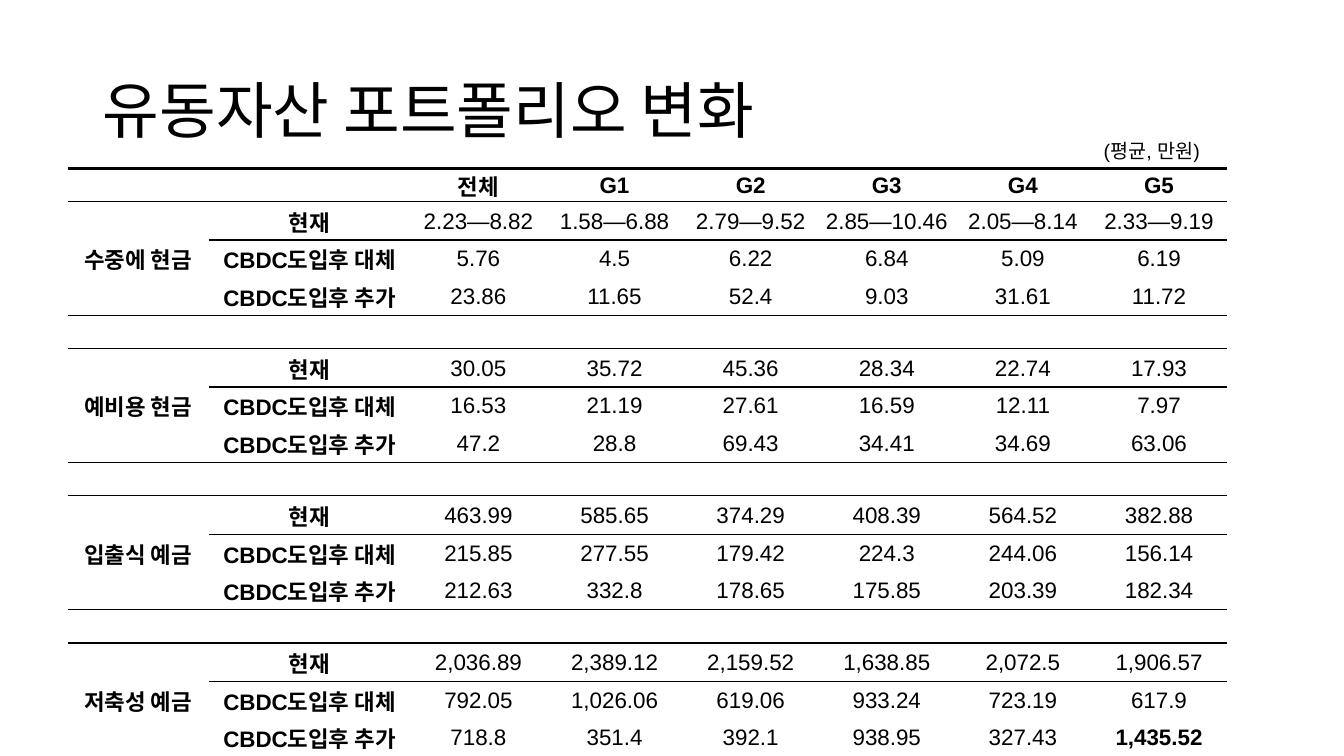
from lxml import etree
from pptx import Presentation
from pptx.dml.color import RGBColor
from pptx.enum.text import MSO_ANCHOR, MSO_AUTO_SIZE, PP_ALIGN
from pptx.oxml.ns import qn
from pptx.util import Inches, Pt

MIDDLE = MSO_ANCHOR.MIDDLE
FIT_NONE = MSO_AUTO_SIZE.NONE
FIT_SHAPE = MSO_AUTO_SIZE.SHAPE_TO_FIT_TEXT
LEFT, CENTER, RIGHT = PP_ALIGN.LEFT, PP_ALIGN.CENTER, PP_ALIGN.RIGHT

COLORS = {"ink": "000000", "paper": "FFFFFF"}
PLAIN_STYLE = "{2D5ABB26-0587-4C30-8999-92F81FD0307C}"
CELL_FORMAT = {
    "margin_left": Inches(0.01),
    "margin_right": Inches(0.01),
    "margin_top": Inches(0.01),
    "margin_bottom": 0,
    "vertical_anchor": MIDDLE,
}

HEADINGS = ["전체", "G1", "G2", "G3", "G4", "G5"]
STAGES = ["현재", "CBDC도입후 대체", "CBDC도입후 추가"]
ASSETS = {
    "수중에 현금": [
        ["2.23—8.82", "1.58—6.88", "2.79—9.52", "2.85—10.46", "2.05—8.14", "2.33—9.19"],
        ["5.76", "4.5", "6.22", "6.84", "5.09", "6.19"],
        ["23.86", "11.65", "52.4", "9.03", "31.61", "11.72"],
    ],
    "예비용 현금": [
        ["30.05", "35.72", "45.36", "28.34", "22.74", "17.93"],
        ["16.53", "21.19", "27.61", "16.59", "12.11", "7.97"],
        ["47.2", "28.8", "69.43", "34.41", "34.69", "63.06"],
    ],
    "입출식 예금": [
        ["463.99", "585.65", "374.29", "408.39", "564.52", "382.88"],
        ["215.85", "277.55", "179.42", "224.3", "244.06", "156.14"],
        ["212.63", "332.8", "178.65", "175.85", "203.39", "182.34"],
    ],
    "저축성 예금": [
        ["2,036.89", "2,389.12", "2,159.52", "1,638.85", "2,072.5", "1,906.57"],
        ["792.05", "1,026.06", "619.06", "933.24", "723.19", "617.9"],
        ["718.8", "351.4", "392.1", "938.95", "327.43", "1,435.52"],
    ],
}
HIGHLIGHT = "1,435.52"


def rgb(name):
    return RGBColor.from_string(COLORS[name])


def apply(target, values):
    for name, value in values.items():
        setattr(target, name, value)


class AssetSlide:
    def __init__(self, deck):
        self.slide = deck.slides.add_slide(deck.slide_layouts[5])

    def label(self, frame, text, size, align, font="Arial", bold=False):
        paragraph = frame.paragraphs[0]
        paragraph.alignment = align
        run = paragraph.add_run()
        run.text = text
        apply(run.font, {"name": font, "size": Pt(size), "bold": bold})
        run.font.color.rgb = rgb("ink")
        return paragraph

    def title(self, text, box):
        heading = self.slide.shapes.title
        apply(heading, dict(zip(("left", "top", "width", "height"), map(Inches, box))))
        apply(heading.text_frame, {"vertical_anchor": MIDDLE, "auto_size": FIT_NONE, "word_wrap": True})
        self.label(heading.text_frame, text, 44, LEFT, "Calibri").line_spacing = 0.9

    def note(self, text, box):
        unit = self.slide.shapes.add_textbox(*map(Inches, box))
        apply(unit.text_frame, {"word_wrap": True, "auto_size": FIT_SHAPE})
        self.label(unit.text_frame, text, 14, RIGHT)

    def rule(self, cell, top, bottom):
        properties = cell._tc.get_or_add_tcPr()
        edges = {"a:lnL": 0, "a:lnR": 0, "a:lnT": top, "a:lnB": bottom}
        for position, (edge, weight) in enumerate(edges.items()):
            line = etree.Element(qn(edge), w=str(Pt(weight)))
            if weight:
                fill = etree.SubElement(line, qn("a:solidFill"))
                etree.SubElement(fill, qn("a:srgbClr"), val=COLORS["ink"])
            else:
                etree.SubElement(line, qn("a:noFill"))
            properties.insert(position, line)

    def cell(self, cell, text, bold, top, bottom):
        apply(cell, CELL_FORMAT)
        cell.fill.solid()
        cell.fill.fore_color.rgb = rgb("paper")
        self.rule(cell, top, bottom)
        if text:
            self.label(cell.text_frame, text, 16, CENTER, bold=bold)

    def table(self, rows, heights, widths, left, top):
        box = map(Inches, (left, top, sum(widths), sum(heights)))
        grid = self.slide.shapes.add_table(len(rows), len(widths), *box).table
        apply(grid, {"first_row": False, "horz_banding": False})
        grid._tbl.tblPr.find(qn("a:tableStyleId")).text = PLAIN_STYLE
        for column, width in zip(grid.columns, widths):
            column.width = Inches(width)
        for row, height in zip(grid.rows, heights):
            row.height = Inches(height)
        last = len(rows) - 1
        for r, texts in enumerate(rows):
            stage = (r - 1) % 4
            for c, text in enumerate(texts):
                above = 2 if r == 0 else int(stage in (0, 3) or (stage == 1 and c > 0))
                below = 2 if r == last else int(stage in (2, 3) or (stage == 0 and c > 0))
                bold = r == 0 or c < 2 or text == HIGHLIGHT
                self.cell(grid.cell(r, c), text, bold, above, below)
        for first in range(1, len(rows), 4):
            grid.cell(first, 0).merge(grid.cell(first + 2, 0))


def main():
    deck = Presentation()
    deck.slide_width, deck.slide_height = Inches(13.33), Inches(7.5)
    page = AssetSlide(deck)
    page.title("유동자산 포트폴리오 변화", (0.92, 0.4, 11.5, 1.45))

    rows = []
    for asset, amounts in ASSETS.items():
        rows.append([""] * 8 if rows else ["", "", *HEADINGS])
        for index, (stage, values) in enumerate(zip(STAGES, amounts)):
            rows.append(["" if index else asset, stage, *values])
    heights = [0.33, 0.38, 0.37, 0.38] * len(ASSETS)
    widths = [1.4, 2.0] + [1.35] * len(HEADINGS)
    page.table(rows, heights, widths, 0.67, 1.67)
    page.note("(평균, 만원)", (10.58, 1.33, 1.42, 0.34))
    deck.save("out.pptx")


if __name__ == "__main__":
    main()
